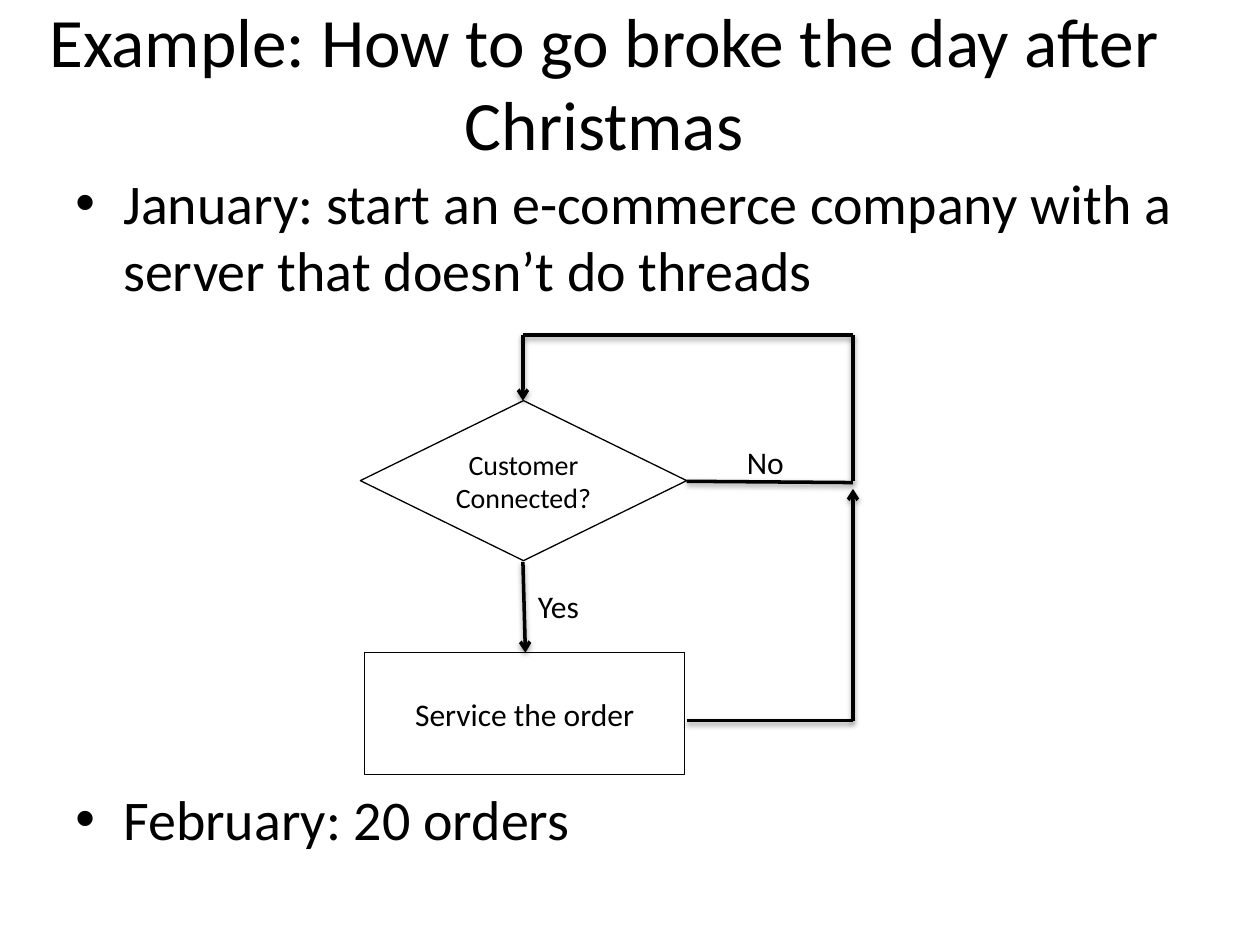
from dataclasses import dataclass

from lxml.etree import SubElement
from pptx import Presentation
from pptx.dml.color import RGBColor
from pptx.enum.shapes import MSO_CONNECTOR as Conn, MSO_SHAPE as Kind
from pptx.enum.text import MSO_ANCHOR as Anchor, MSO_AUTO_SIZE as Fit, PP_ALIGN as Align
from pptx.oxml.ns import qn
from pptx.util import Emu, Inches, Pt

COLORS = {"ink": "000000", "paper": "FFFFFF"}
FONT = "Calibri"

deck = Presentation()
deck.slide_width, deck.slide_height = Inches(10), Inches(7.5)
COL, ROW = deck.slide_width / 100, deck.slide_height / 75


@dataclass
class Box:
    """A place on the grid of 100 columns by 75 rows."""
    col: float
    row: float
    wide: float
    high: float

    def spot(self) -> tuple:
        return (Emu(round(self.col * COL)), Emu(round(self.row * ROW)),
                Emu(round(self.wide * COL)), Emu(round(self.high * ROW)))


@dataclass
class Node:
    kind: Kind
    box: Box
    text: list
    size: float


@dataclass
class Label:
    text: str
    box: Box


@dataclass
class Link:
    start: tuple
    end: tuple
    arrow: bool = False


def color(name: str) -> RGBColor:
    return RGBColor.from_string(COLORS[name])


def write(shape, lines: list, size: float, align=Align.LEFT, anchor=Anchor.TOP,
          wrap: bool = True, fit=Fit.NONE, bullet: bool = False, gap: float = 0) -> None:
    frame = shape.text_frame
    frame.word_wrap, frame.auto_size, frame.vertical_anchor = wrap, fit, anchor
    for i, line in enumerate(lines):
        para = frame.add_paragraph() if i else frame.paragraphs[0]
        para.alignment = align
        para.space_before = Pt(gap if i else 0)
        run = para.add_run()
        run.text = line
        run.font.name, run.font.size = FONT, Pt(size)
        run.font.color.rgb = color("ink")
        if bullet:
            props = para._p.get_or_add_pPr()
            props.set("marL", str(Inches(0.38)))
            props.set("indent", str(Inches(-0.38)))
            SubElement(props, qn("a:buFont"), typeface="Arial")
            SubElement(props, qn("a:buChar"), char="•")


def draw_node(slide, node: Node) -> None:
    shape = slide.shapes.add_shape(node.kind, *node.box.spot())
    shape.shadow.inherit = False
    shape.fill.solid()
    shape.fill.fore_color.rgb = color("paper")
    shape.line.color.rgb = color("ink")
    shape.line.width = Pt(0.75)
    write(shape, node.text, node.size, align=Align.CENTER, anchor=Anchor.MIDDLE)


def draw_link(slide, link: Link) -> None:
    ends = [Emu(round(n * unit)) for point in (link.start, link.end)
            for n, unit in zip(point, (COL, ROW))]
    line = slide.shapes.add_connector(Conn.STRAIGHT, *ends)
    line.line.color.rgb = color("ink")
    line.line.width = Pt(2)
    if link.arrow:
        SubElement(line.line._get_or_add_ln(), qn("a:tailEnd"), type="arrow")
    # Soft shadow straight below the line
    effects = SubElement(line._element.spPr, qn("a:effectLst"))
    shade = SubElement(effects, qn("a:outerShdw"), blurRad=str(Pt(3.1)),
                       dist=str(Pt(1.6)), dir="5400000", rotWithShape="0")
    tint = SubElement(shade, qn("a:srgbClr"), val=COLORS["ink"])
    SubElement(tint, qn("a:alpha"), val="38000")


# Flow chart: the two steps, the loop back and the branch names
MID, EDGE, LOOP = 41.5, 54.5, 67.7
TOP, TEST, JOIN, ORDER = 26.6, 38.2, 38.8, 57.2

NODES = [
    Node(Kind.FLOWCHART_DECISION, Box(28.6, 31.8, 25.9, 12.7),
         ["Customer", "Connected?"], 16),
    Node(Kind.FLOWCHART_PROCESS, Box(28.95, 51.8, 25.4, 9.7), ["Service the order"], 18),
]
LINKS = [
    Link((EDGE, TEST), (LOOP, TEST + 0.1)),
    Link((LOOP, TEST), (LOOP, TOP)),
    Link((LOOP, TOP), (MID, TOP)),
    Link((MID, TOP), (MID, 31.8), arrow=True),
    Link((MID, 44.6), (MID + 0.2, 51.8), arrow=True),
    Link((EDGE, ORDER), (LOOP, ORDER)),
    Link((LOOP, ORDER), (LOOP, JOIN), arrow=True),
]
LABELS = [
    Label("No", Box(58.3, 34.7, 5, 4)),
    Label("Yes", Box(41.7, 46.1, 5.5, 4)),
]


def main() -> None:
    slide = deck.slides.add_slide(deck.slide_layouts[5])

    # Title
    title = slide.shapes.title
    title.left, title.top, title.width, title.height = Box(0.9, 3.7, 94.1, 5.5).spot()
    write(title, ["Example: How to go broke the day after Christmas"], 39.6,
          align=Align.CENTER, anchor=Anchor.MIDDLE)

    # Story, with room for the chart between its two points
    story = slide.shapes.add_textbox(*Box(5, 12.9, 90, 60.1).spot())
    write(story, ["January: start an e-commerce company with a server that doesn’t do threads",
                  "February: 20 orders"], 32, bullet=True, gap=275)

    # Flow chart
    for node in NODES:
        draw_node(slide, node)
    for link in LINKS:
        draw_link(slide, link)
    for label in LABELS:
        write(slide.shapes.add_textbox(*label.box.spot()), [label.text], 18,
              wrap=False, fit=Fit.SHAPE_TO_FIT_TEXT)

    deck.save("out.pptx")


if __name__ == "__main__":
    main()
